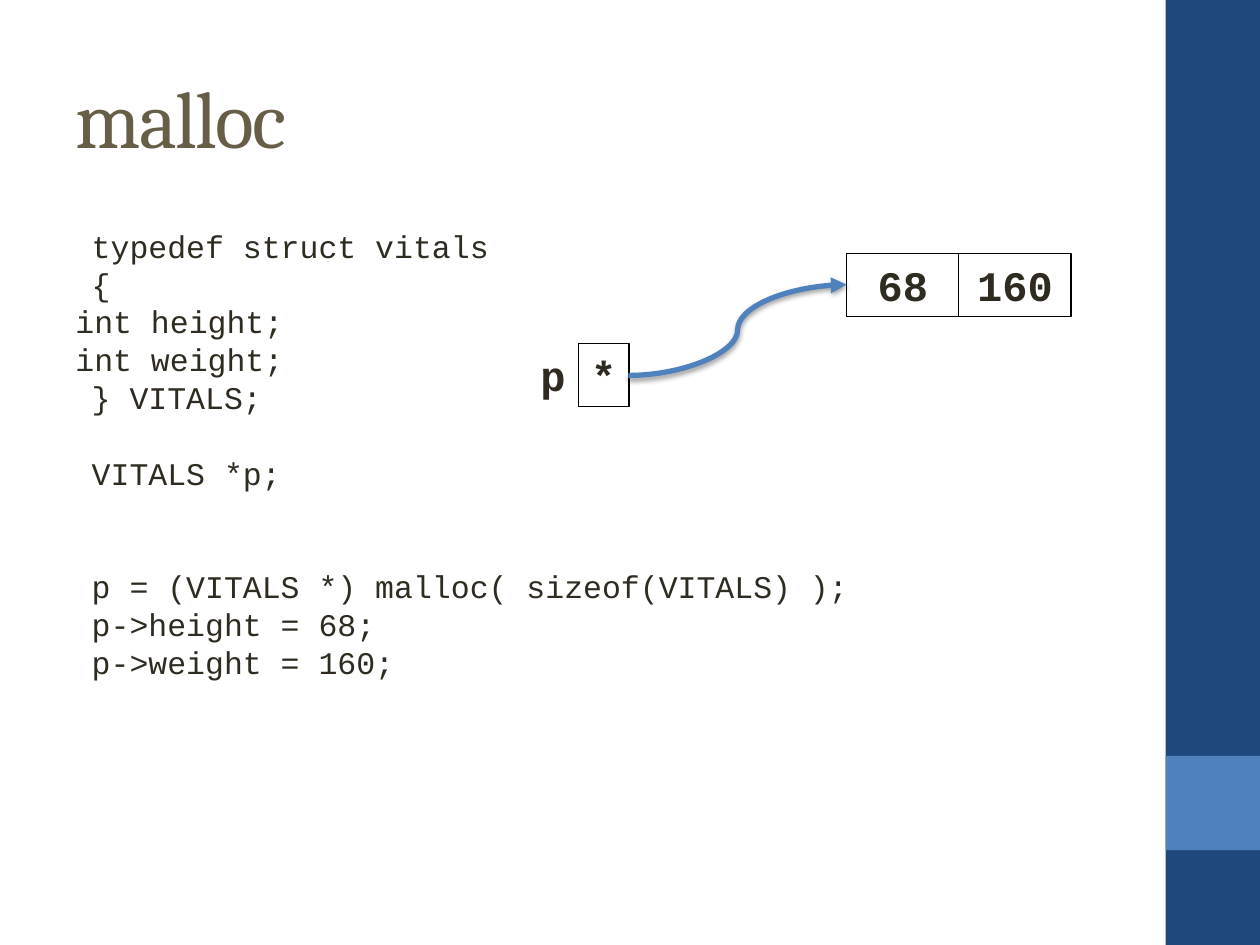
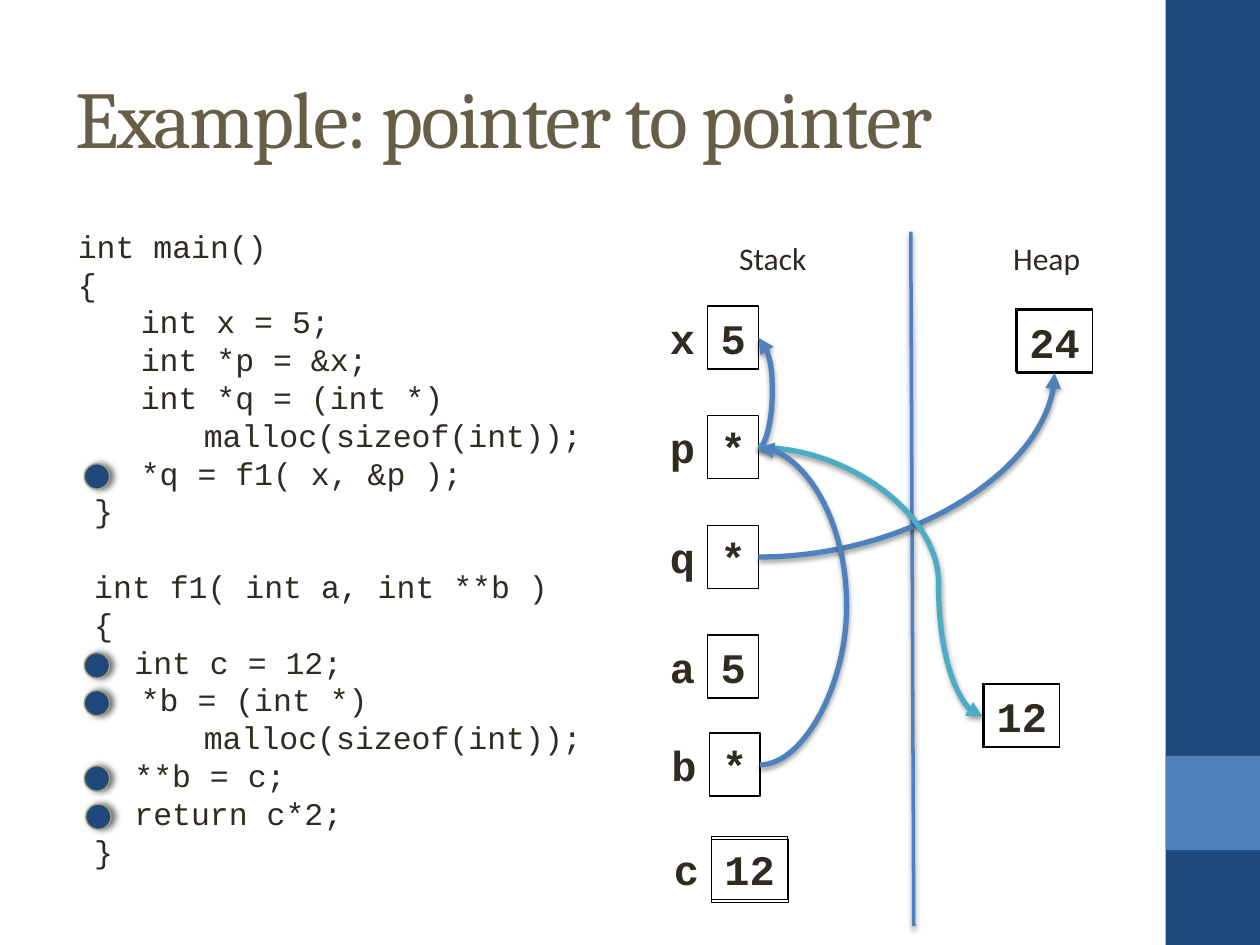
from lxml import etree
from pptx import Presentation
from pptx import util as u
from pptx.dml.color import RGBColor
from pptx.enum import shapes, text
from pptx.oxml import ns

NAVY = RGBColor(0x1F, 0x49, 0x7D)
BLUE = RGBColor(0x4F, 0x81, 0xBD)
TEAL = RGBColor(0x4B, 0xAC, 0xC6)
TAUPE = RGBColor(0x67, 0x5E, 0x47)
INK = RGBColor(0x2F, 0x2B, 0x20)
OLIVE = RGBColor(0xA6, 0xA2, 0x78)
BLACK = RGBColor(0, 0, 0)

RECT = shapes.MSO_SHAPE.RECTANGLE
OVAL = shapes.MSO_SHAPE.OVAL
LEFT, CENTER = text.PP_ALIGN.LEFT, text.PP_ALIGN.CENTER
TOP, MIDDLE = text.MSO_ANCHOR.TOP, text.MSO_ANCHOR.MIDDLE

TITLE = {"name": "Cambria", "size": u.Pt(46), "bold": False}
CODE = {"name": "Courier New", "size": u.Pt(18), "bold": False}
CELL = {"name": "Courier New", "size": u.Pt(24), "bold": True}
HEAD = {"name": "Calibri", "size": u.Pt(18), "bold": False}
CODE_LINE = 21.6
CELL_W, CELL_H, WIDE_W = 1.02, 1.27, 1.52


def put(s, kind, at, fill=None, line=None, lines=(), fmt=CELL, color=INK,
        align=CENTER, anchor=TOP, wrap=False):
    at = [u.Cm(v) for v in at]
    if kind is None:
        sp = s.shapes.add_textbox(*at)
    else:
        sp = s.shapes.add_shape(kind, *at)
        sp.shadow.inherit = False
        if fill is None:
            sp.fill.background()
        else:
            sp.fill.solid()
            sp.fill.fore_color.rgb = fill
        if line is None:
            sp.line.fill.background()
        else:
            sp.line.color.rgb = line
            sp.line.width = u.Pt(0.75)
    tf = sp.text_frame
    tf.word_wrap = wrap
    tf.vertical_anchor = anchor
    for i, (words, indent, gap) in enumerate(lines):
        p = tf.paragraphs[0] if i == 0 else tf.add_paragraph()
        p.alignment = align
        if gap:
            p.space_before = u.Pt(gap * CODE_LINE)
        if indent:
            p._p.get_or_add_pPr().set("marL", str(u.Cm(indent)))
        r = p.add_run()
        r.text = words
        for key, value in fmt.items():
            setattr(r.font, key, value)
        r.font.color.rgb = color
    return sp


def cast(sp, alpha, blur, dist, angle):
    spPr = sp.element.spPr
    effects = spPr.find(ns.qn("a:effectLst"))
    if effects is None:
        effects = etree.SubElement(spPr, ns.qn("a:effectLst"))
    shadow = etree.SubElement(effects, ns.qn("a:outerShdw"), {
        "blurRad": str(u.Pt(blur)), "dist": str(u.Pt(dist)),
        "dir": str(angle * 60000), "rotWithShape": "0"})
    clr = etree.SubElement(shadow, ns.qn("a:srgbClr"), val="000000")
    etree.SubElement(clr, ns.qn("a:alpha"), val=str(alpha * 1000))


prs = Presentation()
prs.slide_width, prs.slide_height = u.Cm(25.4), u.Cm(19.05)

slides = []
for title in ("malloc", "Example: pointer to pointer"):
    s = prs.slides.add_slide(prs.slide_layouts[6])
    put(s, RECT, (23.5, 0, 1.9, 19.05), NAVY)
    put(s, RECT, (23.5, 15.24, 1.9, 1.9), BLUE)
    sp = put(s, None, (1.27, 0.76, 21.16, 3.18), lines=[(title, 0, 0)], fmt=TITLE,
             color=TAUPE, align=LEFT, anchor=MIDDLE, wrap=True)
    sp.text_frame.paragraphs[0].runs[0].font._element.set("spc", "-100")
    slides.append(s)
first, second = slides

struct_code = [
    ("typedef struct vitals", 0.33, 0),
    ("{", 0.33, 0),
    ("int height;", 0, 0),
    ("int weight;", 0, 0),
    ("} VITALS;", 0.33, 0),
    ("VITALS *p;", 0.33, 1),
    ("p = (VITALS *) malloc( sizeof(VITALS) );", 0.33, 2),
    ("p->height = 68;", 0.33, 0),
    ("p->weight = 160;", 0.33, 0),
]
put(first, None, (1.27, 4.45, 16.59, 13.34), lines=struct_code, fmt=CODE,
    align=LEFT, wrap=True)

main_code = [
    ("int main()", 0, 0),
    ("{", 0, 0),
    ("int x = 5;", 1.27, 0),
    ("int *p = &x;", 1.27, 0),
    ("int *q = (int *)", 1.27, 0),
    ("malloc(sizeof(int));", 2.54, 0),
    ("*q = f1( x, &p );", 1.27, 0),
    ("}", 0.33, 0),
    ("int f1( int a, int **b )", 0.33, 1),
    ("{", 0.33, 0),
    ("int c = 12;", 1.14, 0),
    ("*b = (int *)", 1.27, 0),
    ("malloc(sizeof(int));", 2.54, 0),
    ("**b = c;", 1.14, 0),
    ("return c*2;", 1.14, 0),
    ("}", 0.33, 0),
]
put(second, None, (1.32, 4.45, 10.67, 13.97), lines=main_code, fmt=CODE, align=LEFT)

for words, x, w in (("Stack", 14.45, 2.26), ("Heap", 20.02, 2.16)):
    put(second, None, (x, 4.7, w, 1.02), lines=[(words, 0, 0)], fmt=HEAD)

variables = [
    (first, "p", "*", 11.66, 6.93, CELL_W),
    (second, "x", "5", 14.27, 6.17, CELL_W),
    (second, "p", "*", 14.27, 8.38, CELL_W),
    (second, "q", "*", 14.27, 10.59, CELL_W),
    (second, "a", "5", 14.27, 12.8, CELL_W),
    (second, "b", "*", 14.3, 14.78, CELL_W),
    (second, "c", "12", 14.35, 16.87, WIDE_W),
]
for s, name, value, x, y, w in variables:
    put(s, None, (x - CELL_W, y, CELL_W, CELL_H), lines=[(name, 0, 0)])
    put(s, RECT, (x, y, w, CELL_H), line=BLACK, lines=[(value, 0, 0)])

for i, value in enumerate(("68", "160")):
    put(first, RECT, (17.07 + 2.26 * i, 5.11, 2.26, CELL_H), line=BLACK,
        lines=[(value, 0, 0)])

for value, x, y in (("24", 20.5, 6.25), ("12", 19.84, 13.79)):
    put(second, RECT, (x, y, WIDE_W, CELL_H), line=BLACK, lines=[(value, 0, 0)])
for x, y in ((14.35, 16.92), (20.47, 6.22), (19.81, 13.79)):
    put(second, RECT, (x, y, 1.55, CELL_H), line=BLACK)

for x, y in ((1.7, 9.35), (1.7, 13.16), (1.7, 13.92), (1.7, 15.44), (1.73, 16.21)):
    cast(put(second, OVAL, (x, y, 0.51, 0.51), NAVY, OLIVE), 60, 4, 2, 0)

STRAIGHT, CURVE = shapes.MSO_CONNECTOR.STRAIGHT, shapes.MSO_CONNECTOR.CURVE
links = [
    (first, CURVE, (12.67, 7.57), (17.07, 5.74), 14.87, BLUE),
    (second, STRAIGHT, (18.36, 4.67), (18.42, 18.67), None, BLUE),
    (second, CURVE, (15.3, 9.02), (15.29, 6.81), 15.57, BLUE),
    (second, CURVE, (15.29, 11.23), (21.26, 7.52), None, BLUE),
    (second, CURVE, (15.29, 9.02), (19.81, 14.45), 18.92, TEAL),
    (second, CURVE, (15.32, 15.42), (15.29, 9.02), 17.07, BLUE),
]
for s, kind, start, end, bend, color in links:
    sp = s.shapes.add_connector(kind, *[u.Cm(v) for v in start + end])
    sp.line.color.rgb = color
    sp.line.width = u.Pt(2 if kind == STRAIGHT else 3)
    if kind == CURVE:
        etree.SubElement(sp.line._get_or_add_ln(), ns.qn("a:tailEnd"), type="triangle")
        geom = sp.element.spPr.find(ns.qn("a:prstGeom"))
        if bend is None:
            geom.set("prst", "curvedConnector2")
        else:
            ratio = (bend - start[0]) / (end[0] - start[0])
            etree.SubElement(geom.find(ns.qn("a:avLst")), ns.qn("a:gd"),
                             name="adj1", fmla=f"val {round(ratio * 100000)}")
    cast(sp, 38, 3.1, 1.6, 90)

prs.save("out.pptx")
